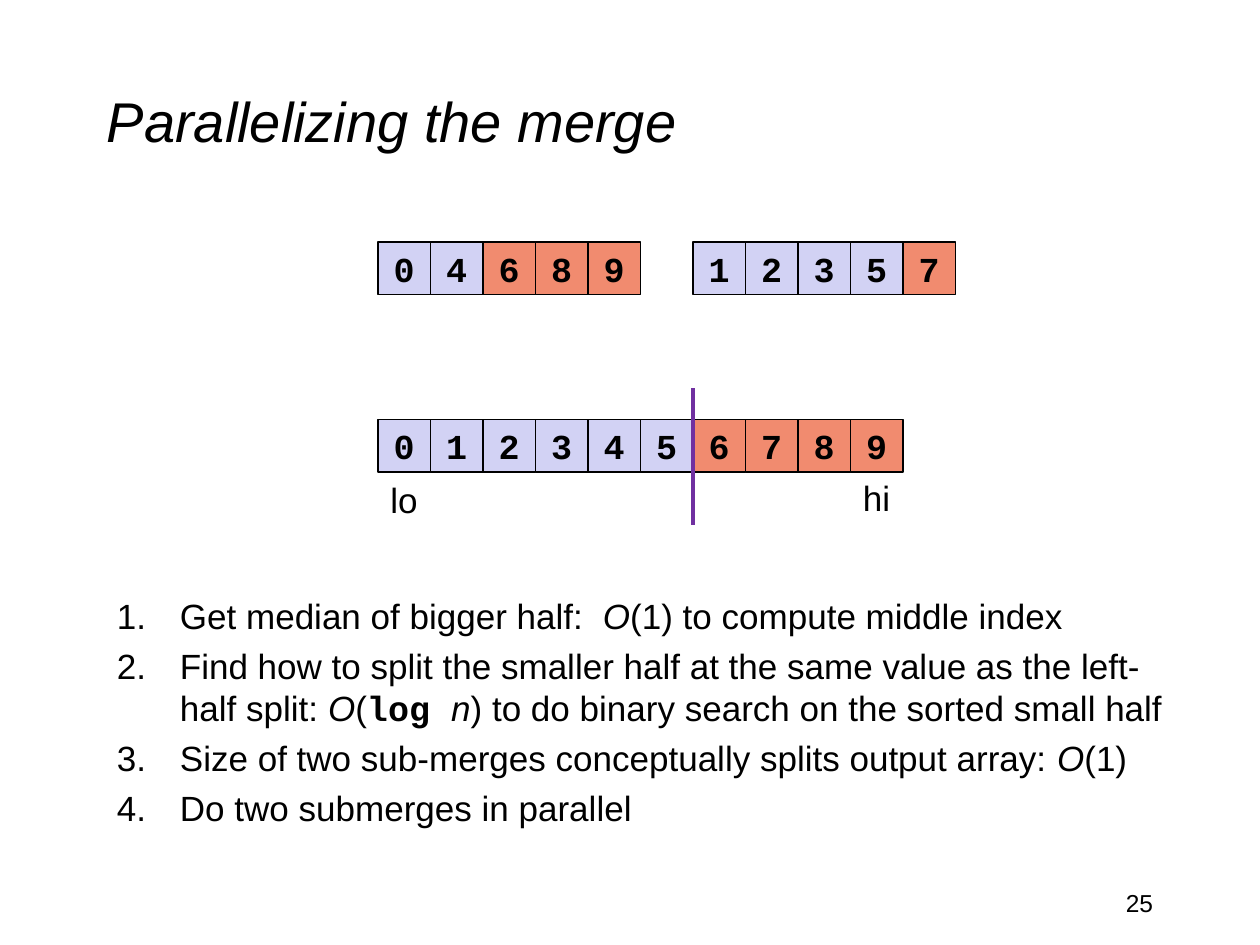
from dataclasses import dataclass

from lxml.etree import SubElement
from pptx import Presentation
from pptx.dml.color import RGBColor as Rgb
from pptx.enum.shapes import MSO_CONNECTOR as Conn, MSO_SHAPE as Shape
from pptx.enum.text import MSO_ANCHOR as Anchor, PP_ALIGN as Align
from pptx.oxml.ns import qn
from pptx.util import Inches, Pt

COLORS = {"ink": "000000", "low": "D2D2F4", "high": "F18B6F", "split": "7030A0"}
SANS, MONO = "Arial", "Courier New"
CELL = 5 / 12
LEFT = 3.0
MID = LEFT + 6 * CELL


@dataclass
class Row:
    left: float
    top: float
    nums: str
    cut: int  # index of the first cell in the upper part


@dataclass
class Label:
    text: str
    left: float
    top: float
    width: float
    height: float
    size: int = 20
    wrap: bool = True
    italic: bool = False
    align: Align = Align.LEFT
    anchor: Anchor = Anchor.TOP


@dataclass
class Part:
    text: str
    italic: bool = False
    code: bool = False


ROWS = [
    Row(LEFT, 1.92, "04689", 2),
    Row(MID, 1.92, "12357", 4),
    Row(LEFT, 3.33, "0123456789", 6),
]
LABELS = [
    Label("Parallelizing the merge", 0.75, 0.33, 8.5, 1.25, 32,
          italic=True, anchor=Anchor.MIDDLE),
    Label("25", 7.17, 7, 2.08, 0.5, 14, align=Align.RIGHT),
    Label("lo", LEFT, 3.75, CELL, 0.44, wrap=False),
    Label("hi", LEFT + 9 * CELL, 3.73, CELL, 0.44, wrap=False),
]
BIG_O = Part("O", italic=True)
STEPS = [
    [Part("Get median of bigger half:  "), BIG_O, Part("(1) to compute middle index")],
    [Part("Find how to split the smaller half at the same value as the left-half split: "),
     BIG_O, Part("("), Part("log ", code=True), Part("n", italic=True),
     Part(") to do binary search on the sorted small half")],
    [Part("Size of two sub-merges conceptually splits output array: "), BIG_O, Part("(1)")],
    [Part("Do two submerges in parallel")],
]


def color(name: str) -> Rgb:
    return Rgb.from_string(COLORS[name])


def style(run, size: int = 20, face: str = SANS, bold: bool = False,
          italic: bool = False) -> None:
    font = run.font
    font.size, font.name = Pt(size), face
    font.bold, font.italic = bold, italic
    font.color.rgb = color("ink")


def add_box(slide, left: float, top: float, width: float, height: float):
    box = slide.shapes.add_textbox(
        Inches(left), Inches(top), Inches(width), Inches(height))
    box.text_frame.word_wrap = True
    return box.text_frame


def draw_label(slide, label: Label) -> None:
    frame = add_box(slide, label.left, label.top, label.width, label.height)
    frame.text = label.text
    frame.word_wrap = label.wrap
    frame.vertical_anchor = label.anchor
    para = frame.paragraphs[0]
    para.alignment = label.align
    style(para.runs[0], label.size, italic=label.italic)


def draw_row(slide, row: Row) -> None:
    for i, num in enumerate(row.nums):
        cell = slide.shapes.add_shape(
            Shape.RECTANGLE, Inches(row.left + i * CELL), Inches(row.top),
            Inches(CELL), Inches(CELL))
        cell.shadow.inherit = False
        cell.fill.solid()
        cell.fill.fore_color.rgb = color("low" if i < row.cut else "high")
        cell.line.color.rgb = color("ink")
        cell.line.width = Pt(0.75)
        frame = cell.text_frame
        frame.text = num
        frame.word_wrap = False
        frame.vertical_anchor = Anchor.MIDDLE
        para = frame.paragraphs[0]
        para.alignment = Align.CENTER
        style(para.runs[0], face=MONO, bold=True)


def draw_steps(slide) -> None:
    frame = add_box(slide, 0.83, 4.67, 8.67, 1.92)
    for i, parts in enumerate(STEPS):
        para = frame.add_paragraph() if i else frame.paragraphs[0]
        para.space_before = Pt(4.6)
        props = para._p.get_or_add_pPr()
        props.set("marL", str(Inches(0.5)))
        props.set("indent", str(Inches(-0.5)))
        SubElement(props, qn("a:buFont"), typeface=SANS)
        SubElement(props, qn("a:buAutoNum"), type="arabicPeriod")
        for part in parts:
            run = para.add_run()
            run.text = part.text
            style(run, face=MONO if part.code else SANS,
                  bold=part.code, italic=part.italic)


def draw_split(slide) -> None:
    line = slide.shapes.add_connector(
        Conn.STRAIGHT, Inches(MID), Inches(3.08), Inches(MID), Inches(4.17))
    line.line.color.rgb = color("split")
    line.line.width = Pt(2.25)
    SubElement(line._element.spPr, qn("a:effectLst"))


def main() -> None:
    deck = Presentation()
    deck.slide_width, deck.slide_height = Inches(10), Inches(7.5)
    slide = deck.slides.add_slide(deck.slide_layouts[6])
    for row in ROWS:
        draw_row(slide, row)
    for label in LABELS:
        draw_label(slide, label)
    draw_steps(slide)
    draw_split(slide)
    deck.save("out.pptx")


if __name__ == "__main__":
    main()
